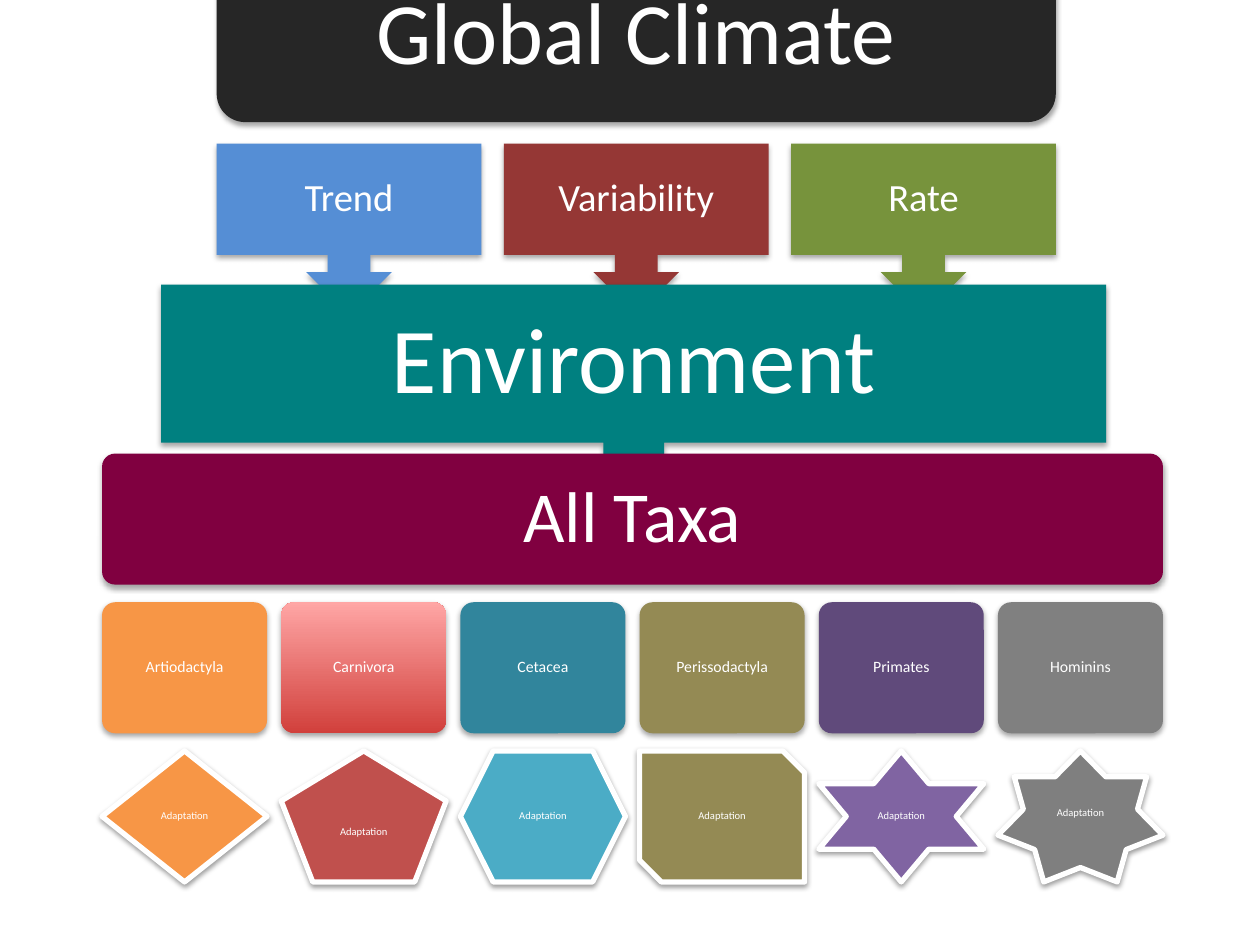
from lxml import etree
from pptx import Presentation
from pptx import util as u
from pptx.dml.color import RGBColor
from pptx.enum import shapes, text
from pptx.oxml import ns

KIND = shapes.MSO_SHAPE
WHITE = RGBColor(0xFF, 0xFF, 0xFF)
BLACK = RGBColor(0x26, 0x26, 0x26)
BLUE = RGBColor(0x55, 0x8E, 0xD5)
BRICK = RGBColor(0x95, 0x37, 0x35)
GREEN = RGBColor(0x77, 0x93, 0x3C)
TEAL = RGBColor(0x00, 0x80, 0x80)
WINE = RGBColor(0x80, 0x00, 0x40)
ORANGE = RGBColor(0xF7, 0x96, 0x46)
RED = RGBColor(0xD1, 0x40, 0x3C)
PINK = RGBColor(0xFF, 0xA6, 0xA5)
ROSE = RGBColor(0xC0, 0x50, 0x4D)
OCEAN = RGBColor(0x31, 0x85, 0x9C)
AQUA = RGBColor(0x4B, 0xAC, 0xC6)
KHAKI = RGBColor(0x94, 0x8A, 0x54)
PLUM = RGBColor(0x60, 0x4A, 0x7B)
VIOLET = RGBColor(0x80, 0x64, 0xA2)
GREY = RGBColor(0x80, 0x80, 0x80)
ASH = RGBColor(0x7F, 0x7F, 0x7F)


class Chart:
    font = "Calibri"

    def __init__(self, slide):
        self.slide = slide

    def shade(self, shape, dist, alpha):
        shape.shadow.inherit = False
        effects = shape._element.spPr.find(ns.qn("a:effectLst"))
        outer = etree.SubElement(
            effects, ns.qn("a:outerShdw"), blurRad=str(u.Pt(3.1)),
            dist=str(u.Pt(dist)), dir="5400000", rotWithShape="0")
        color = etree.SubElement(outer, ns.qn("a:srgbClr"), val="000000")
        etree.SubElement(color, ns.qn("a:alpha"), val=str(alpha * 1000))

    def paint(self, shape, fill):
        if isinstance(fill, RGBColor):
            shape.fill.solid()
            shape.fill.fore_color.rgb = fill
            return
        shape.fill.gradient()
        shape.fill.gradient_angle = 90
        for stop, place, color in zip(shape.fill.gradient_stops, (0, 1), fill):
            stop.position = place
            stop.color.rgb = color

    def label(self, shape, words, size, inset):
        frame = shape.text_frame
        frame.text = words
        frame.word_wrap = True
        frame.vertical_anchor = text.MSO_ANCHOR.MIDDLE
        frame.margin_left = frame.margin_right = u.Inches(inset)
        frame.margin_top = frame.margin_bottom = u.Inches(inset)
        line = frame.paragraphs[0]
        line.alignment = text.PP_ALIGN.CENTER
        line.line_spacing = 0.9
        font = line.runs[0].font
        font.name = self.font
        font.size = u.Pt(size)
        font.color.rgb = WHITE

    def box(self, kind, place, fill, words, size, inset, round=None, edge=False):
        shape = self.slide.shapes.add_shape(kind, *map(u.Inches, place))
        if round:
            shape.adjustments[0] = round
        self.paint(shape, fill)
        if edge:
            shape.line.color.rgb = WHITE
            shape.line.width = u.Pt(3)
            self.shade(shape, 1.6, 38)
        else:
            shape.line.fill.background()
            self.shade(shape, 1.8, 35)
        self.label(shape, words, size, inset)


deck = Presentation()
deck.slide_width, deck.slide_height = u.Inches(10), u.Inches(7.5)
chart = Chart(deck.slides.add_slide(deck.slide_layouts[6]))

chart.box(KIND.ROUNDED_RECTANGLE, (1.72, -0.39, 6.66, 1.36), BLACK,
          "Global Climate", 50, 0.21)

drivers = [("Trend", BLUE), ("Variability", BRICK), ("Rate", GREEN)]
for i, (name, fill) in enumerate(drivers):
    chart.box(KIND.DOWN_ARROW_CALLOUT, (1.72 + 2.28 * i, 1.14, 2.1, 1.36),
              fill, name, 22, 0.09)

chart.box(KIND.DOWN_ARROW_CALLOUT, (1.28, 2.26, 7.5, 1.93), TEAL,
          "Environment", 53, 0.22)
chart.box(KIND.ROUNDED_RECTANGLE, (0.81, 3.6, 8.42, 1.04), WINE,
          "All Taxa", 41, 0.17, round=0.1)

taxa = [
    ("Artiodactyla", ORANGE, KIND.DIAMOND, ORANGE),
    ("Carnivora", (RED, PINK), KIND.REGULAR_PENTAGON, ROSE),
    ("Cetacea", OCEAN, KIND.HEXAGON, AQUA),
    ("Perissodactyla", KHAKI, KIND.SNIP_2_DIAG_RECTANGLE, KHAKI),
    ("Primates", PLUM, KIND.STAR_6_POINT, VIOLET),
    ("Hominins", GREY, KIND.STAR_7_POINT, ASH),
]
width = 1.31
step = (8.42 - width) / (len(taxa) - 1)
for i, (name, fill, kind, tint) in enumerate(taxa):
    left = 0.81 + step * i
    chart.box(KIND.ROUNDED_RECTANGLE, (left, 4.78, width, 1.04), fill,
              name, 9, 0.04, round=0.1)
    chart.box(kind, (left, 5.96, width, 1.04), tint,
              "Adaptation", 6, 0.03, edge=True)

deck.save("out.pptx")
